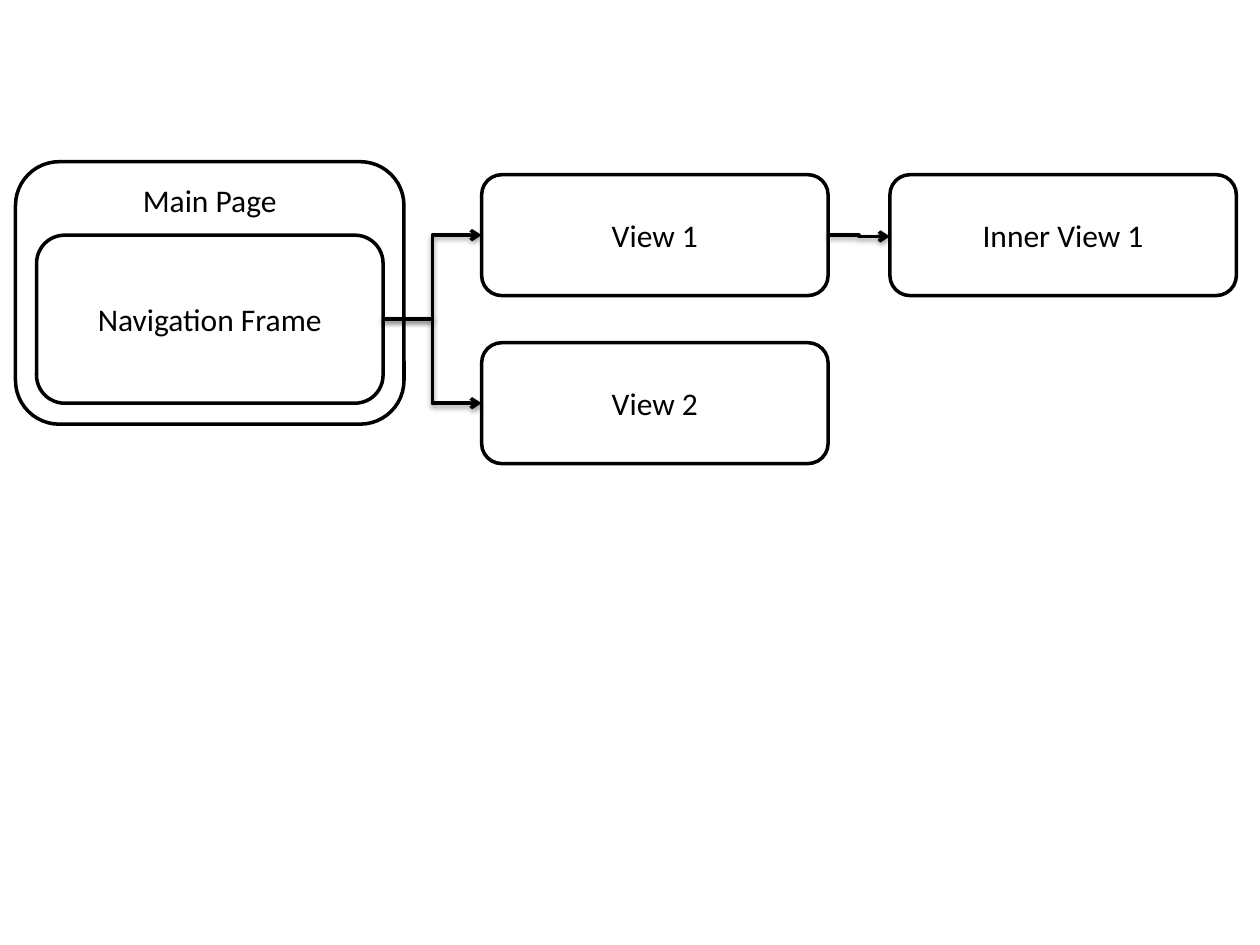
"""Build a slide showing how the main page navigates to its views."""
from pptx import Presentation, oxml, util as u
from pptx.dml.color import RGBColor
from pptx.enum import shapes, text
from pptx.oxml.ns import nsdecls

THEME = {
    "font": "Calibri",
    "size": u.Pt(18),
    "ink": RGBColor(0, 0, 0),
    "paper": RGBColor(255, 255, 255),
    "line": u.Pt(2),
}
ARROWHEAD = f'<a:tailEnd {nsdecls("a")} type="arrow"/>'
SHADOW = (
    f'<a:effectLst {nsdecls("a")}>'
    f'<a:outerShdw blurRad="{u.Pt(3.1)}" dist="{u.Pt(1.6)}" dir="5400000" rotWithShape="0">'
    f'<a:srgbClr val="{THEME["ink"]}"><a:alpha val="38000"/></a:srgbClr>'
    '</a:outerShdw></a:effectLst>'
)

presentation = Presentation()
presentation.slide_width = u.Inches(10)
presentation.slide_height = u.Inches(7.5)
slide = presentation.slides.add_slide(presentation.slide_layouts[6])

box_width, view_height = 2.75, 0.96
frame_left, frame_height, frame_bottom = 0.29, 4 / 3, 3.2
frame_top = frame_bottom - frame_height
frame_middle = frame_top + frame_height / 2
first_middle, second_middle = frame_top, frame_bottom
first_top = first_middle - view_height / 2
second_top = second_middle - view_height / 2
inner_left = 7 + 1 / 16
view_left = inner_left - 0.49 - box_width
margin = 1 / 6
page_height = frame_height + 0.75
page_top = frame_bottom + margin - page_height

boxes = [
    ("View 1", view_left, first_top, box_width, view_height, text.MSO_ANCHOR.MIDDLE),
    ("View 2", view_left, second_top, box_width, view_height, text.MSO_ANCHOR.MIDDLE),
    ("Inner View 1", inner_left, first_top, box_width, view_height, text.MSO_ANCHOR.MIDDLE),
    ("Main Page", frame_left - margin, page_top, box_width + 2 * margin, page_height, text.MSO_ANCHOR.TOP),
    ("Navigation Frame", frame_left, frame_top, box_width, frame_height, text.MSO_ANCHOR.MIDDLE),
]
for label, left, top, width, height, anchor in boxes:
    shape = slide.shapes.add_shape(
        shapes.MSO_SHAPE.ROUNDED_RECTANGLE,
        u.Inches(left), u.Inches(top), u.Inches(width), u.Inches(height),
    )
    shape.shadow.inherit = False
    shape.fill.solid()
    shape.fill.fore_color.rgb = THEME["paper"]
    shape.line.color.rgb = THEME["ink"]
    shape.line.width = THEME["line"]
    shape.text_frame.word_wrap = True
    shape.text_frame.vertical_anchor = anchor
    paragraph = shape.text_frame.paragraphs[0]
    paragraph.alignment = text.PP_ALIGN.CENTER
    run = paragraph.add_run()
    run.text = label
    run.font.name = THEME["font"]
    run.font.size = THEME["size"]
    run.font.color.rgb = THEME["ink"]

arrows = [
    (view_left + box_width, first_middle, inner_left, first_middle + 0.01),
    (frame_left + box_width, frame_middle, view_left, first_middle),
    (frame_left + box_width, frame_middle, view_left, second_middle),
]
for ends in arrows:
    connector = slide.shapes.add_connector(
        shapes.MSO_CONNECTOR.ELBOW, *[u.Inches(end) for end in ends]
    )
    connector.line.color.rgb = THEME["ink"]
    connector.line.width = THEME["line"]
    connector.line._get_or_add_ln().append(oxml.parse_xml(ARROWHEAD))
    connector._element.spPr.append(oxml.parse_xml(SHADOW))

presentation.save("out.pptx")
